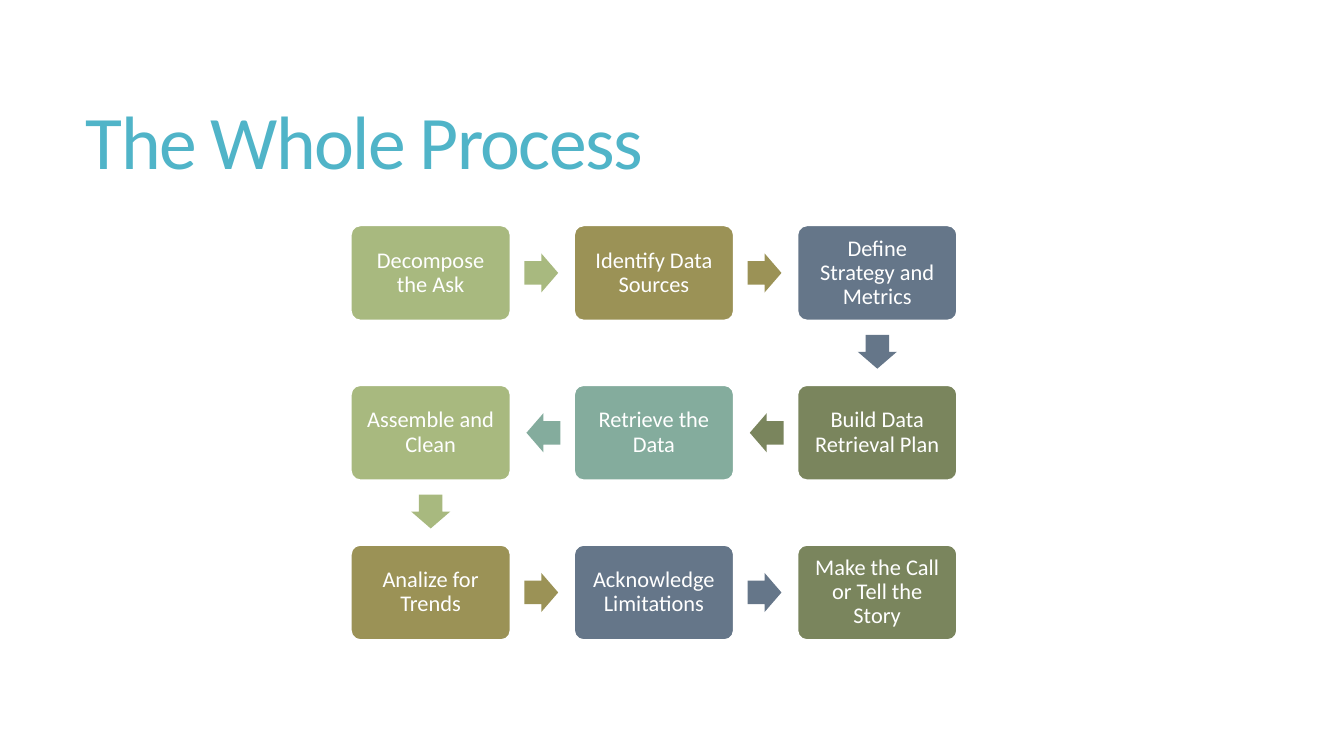
"""Build a slide with a nine-step process that snakes through three rows."""
from pptx import Presentation
from pptx.dml.color import RGBColor
from pptx.enum.shapes import MSO_SHAPE as Kind
from pptx.enum.text import MSO_ANCHOR as Anchor, MSO_AUTO_SIZE as Fit, PP_ALIGN as Align
from pptx.util import Cm, Pt


def style(para, size, tint, align, space):
    para.font.name = "Calibri"
    para.font.size = Pt(size)
    para.font.color.rgb = RGBColor.from_string(tint)
    para.alignment = align
    para.line_spacing = space


def block(kind, mid_x, mid_y, wide, high, tint):
    shape = slide.shapes.add_shape(
        kind, Cm(mid_x - wide / 2), Cm(mid_y - high / 2), Cm(wide), Cm(high))
    shape.shadow.inherit = False
    shape.fill.solid()
    shape.fill.fore_color.rgb = RGBColor.from_string(tint)
    shape.line.fill.background()
    return shape


deck = Presentation()
deck.slide_width, deck.slide_height = Cm(25.4), Cm(14.29)
slide = deck.slides.add_slide(deck.slide_layouts[5])

title = slide.shapes.title
title.left, title.top, title.width, title.height = Cm(1.37), Cm(1.04), Cm(22.45), Cm(3.45)
frame = title.text_frame
frame.text = "The Whole Process"
frame.auto_size = Fit.NONE
frame.vertical_anchor = Anchor.MIDDLE
style(frame.paragraphs[0], 40.5, "50B4C8", Align.LEFT, 0.85)
frame.paragraphs[0].runs[0].font._element.set("spc", "-90")

steps = [
    "Decompose the Ask", "Identify Data Sources", "Define Strategy and Metrics",
    "Build Data Retrieval Plan", "Retrieve the Data", "Assemble and Clean",
    "Analize for Trends", "Acknowledge Limitations", "Make the Call or Tell the Story",
]
tints = ["A8B97F", "9B9256", "657689", "7A855D", "84AC9D"]

for num, step in enumerate(steps):
    row, col = divmod(num, 3)
    back = row % 2 == 1
    place = 2 - col if back else col
    tint = tints[num % len(tints)]
    mid_x, mid_y = 8.14 + 4.22 * place, 5.16 + 3.02 * row

    box = block(Kind.ROUNDED_RECTANGLE, mid_x, mid_y, 3.02, 1.8, tint)
    box.adjustments[0] = 0.1
    box.line.color.rgb = RGBColor.from_string("FFFFFF")
    box.line.width = Pt(1)
    frame = box.text_frame
    frame.text = step
    frame.word_wrap = True
    frame.vertical_anchor = Anchor.MIDDLE
    frame.margin_left = frame.margin_right = Cm(0.17)
    frame.margin_top = frame.margin_bottom = Cm(0.17)
    style(frame.paragraphs[0], 12, "FFFFFF", Align.CENTER, 0.9)

    if num == len(steps) - 1:
        break
    if col == 2:
        turn, off_x, off_y = 90, 0, 1.49
    elif back:
        turn, off_x, off_y = 180, -2.09, 0
    else:
        turn, off_x, off_y = 0, 2.09, 0
    arrow = block(Kind.RIGHT_ARROW, mid_x + off_x, mid_y + off_y, 0.64, 0.74, tint)
    arrow.adjustments[0] = 0.6
    arrow.adjustments[1] = 0.5
    arrow.rotation = turn

deck.save("out.pptx")
